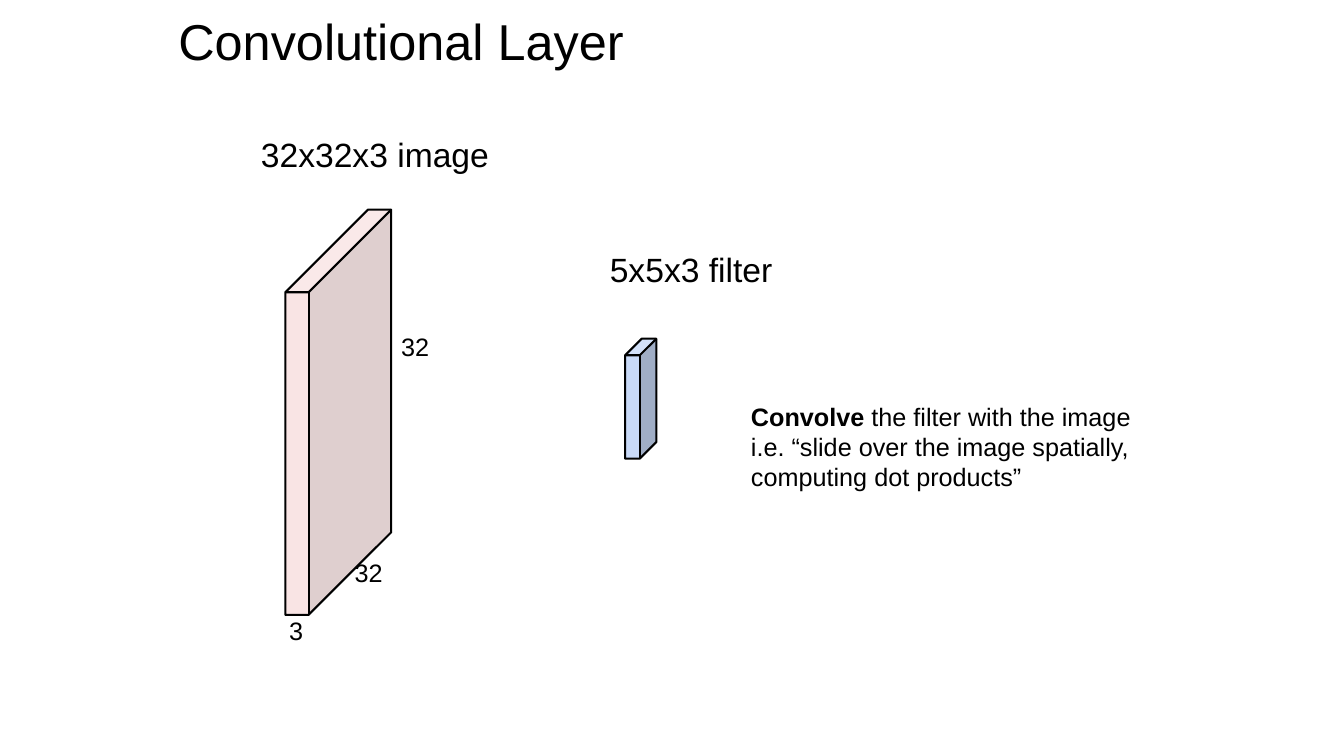
import pptx
import pptx.util
import pptx.dml.color
import pptx.enum.shapes
import pptx.enum.text
import pptx.oxml.ns
import lxml.etree

PX = 9144
theme = {
    "font": "Arial",
    "ink": "000000",
    "image": "F4CCCC",
    "filter": "C9DAF8",
    "title": 36,
    "head": 24,
    "body": 18,
    "line": 1.5,
}


def tint(name):
    return pptx.dml.color.RGBColor.from_string(theme[name])


def write(slide, box, size, paras):
    text = slide.shapes.add_textbox(*[n * PX for n in box]).text_frame
    text.word_wrap = True
    text.vertical_anchor = pptx.enum.text.MSO_ANCHOR.TOP
    text.margin_left = text.margin_right = 10 * PX
    text.margin_top = text.margin_bottom = 10 * PX
    for i, runs in enumerate(paras):
        para = text.add_paragraph() if i else text.paragraphs[0]
        for words, bold in runs:
            run = para.add_run()
            run.text = words
            run.font.name = theme["font"]
            run.font.size = pptx.util.Pt(theme[size])
            run.font.bold = bold
            run.font.color.rgb = tint("ink")


deck = pptx.Presentation()
deck.slide_width = 1333 * PX
deck.slide_height = 750 * PX
slide = deck.slides.add_slide(deck.slide_layouts[6])

cubes = [
    ("image", (283, 208, 105, 402), 0.78, 52),
    ("filter", (620, 336, 31, 119), 0.53, 100),
]
for name, box, depth, alpha in cubes:
    cube = slide.shapes.add_shape(
        pptx.enum.shapes.MSO_SHAPE.CUBE, *[n * PX for n in box]
    )
    cube.adjustments[0] = depth
    cube.shadow.inherit = False
    cube.fill.solid()
    cube.fill.fore_color.rgb = tint(name)
    cube.line.color.rgb = tint("ink")
    cube.line.width = pptx.util.Pt(theme["line"])
    if alpha < 100:
        color = cube.fill._xPr.find(".//" + pptx.oxml.ns.qn("a:srgbClr"))
        lxml.etree.SubElement(
            color, pptx.oxml.ns.qn("a:alpha"), val=str(alpha * 1000)
        )

labels = [
    ("Convolutional Layer", (167, 0, 842, 96), "title"),
    ("32x32x3 image", (249, 123, 366, 69), "head"),
    ("5x5x3 filter", (595, 237, 231, 51), "head"),
    ("32", (342, 543, 54, 45), "body"),
    ("32", (388, 319, 54, 41), "body"),
    ("3", (277, 600, 54, 27), "body"),
]
for words, box, size in labels:
    write(slide, box, size, [[(words, False)]])

write(slide, (735, 388, 432, 111), "body", [
    [("Convolve ", True), ("the filter with the image", False)],
    [("i.e. “slide over the image spatially, computing dot products”", False)],
])

deck.save("out.pptx")
